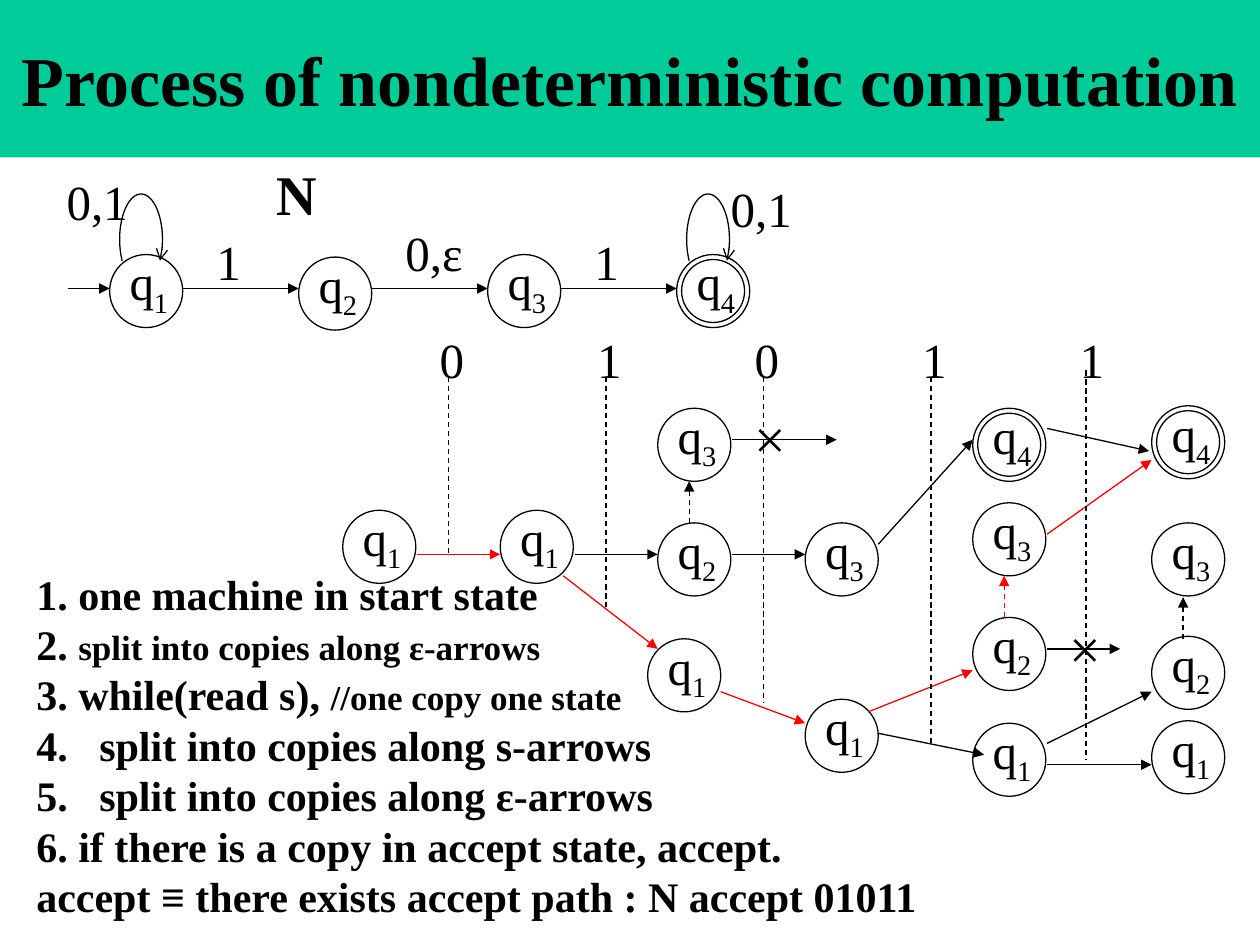
import math

from pptx import Presentation
from pptx import util as u
from pptx.dml.color import RGBColor
from pptx.enum import dml, shapes, text
from pptx.oxml.ns import qn
from lxml import etree

PX = 9144  # 100 px to the inch
THEME = {
    "font": "Times New Roman",
    "ink": RGBColor(0, 0, 0),
    "path": RGBColor(255, 0, 0),
    "band": RGBColor(0, 204, 153),
    "title": 40, "mark": 32, "label": 28, "step": 24, "detail": 20,
    "line": 0.75,
}
STATE = 58
RIM = 4

deck = Presentation()
deck.slide_width, deck.slide_height = 1000 * PX, 750 * PX
page = deck.slides.add_slide(deck.slide_layouts[6])


def write(left, top, width, height, lines, bold=False, pitch=None):
    """Add a text box; each line is a list of (wording, size, is_subscript)."""
    box = page.shapes.add_textbox(left * PX, top * PX, width * PX, height * PX)
    frame = box.text_frame
    frame.word_wrap = False
    frame.auto_size = text.MSO_AUTO_SIZE.SHAPE_TO_FIT_TEXT
    for index, line in enumerate(lines):
        para = frame.add_paragraph() if index else frame.paragraphs[0]
        if pitch:
            para.line_spacing = u.Pt(pitch)
        for wording, size, is_subscript in line:
            span = para.add_run()
            span.text = wording
            span.font.name = THEME["font"]
            span.font.size = u.Pt(THEME[size])
            span.font.bold = bold
            span.font.color.rgb = THEME["ink"]
            if is_subscript:
                span.font._element.set("baseline", "-25000")
    return box


def stroke(item, color="ink", dashed=False, head=None):
    """Style an outline, with an optional arrowhead at its end."""
    item.line.color.rgb = THEME[color]
    item.line.width = u.Pt(THEME["line"])
    if dashed:
        item.line.dash_style = dml.MSO_LINE.DASH
    if head:
        etree.SubElement(item.line._get_or_add_ln(), qn("a:tailEnd"), type=head)
    if item._element.spPr.find(qn("a:effectLst")) is None:
        etree.SubElement(item._element.spPr, qn("a:effectLst"))


# Title band
band = page.shapes.add_shape(shapes.MSO_SHAPE.RECTANGLE, 0, 0, 1000 * PX, 125 * PX)
band.shadow.inherit = False
band.fill.solid()
band.fill.fore_color.rgb = THEME["band"]
band.line.fill.background()
band.text_frame.word_wrap = True
band.text_frame.vertical_anchor = text.MSO_ANCHOR.MIDDLE
para = band.text_frame.paragraphs[0]
para.alignment = text.PP_ALIGN.CENTER
span = para.add_run()
span.text = "Process of nondeterministic computation"
span.font.name = THEME["font"]
span.font.size = u.Pt(THEME["title"])
span.font.bold = True
span.font.color.rgb = THEME["ink"]

# States of the machine, then of the computation tree: number, left, top
machine = [(1, 87, 202), (2, 237, 204), (3, 387, 202), (4, 537, 202)]
tree = [
    (1, 272, 405), (1, 397, 405),
    (3, 522, 324), (2, 522, 415), (1, 514, 507),
    (3, 639, 415), (1, 639, 555),
    (4, 772, 324), (3, 772, 399), (2, 772, 490), (1, 772, 574),
    (4, 914, 322), (3, 914, 415), (2, 914, 505), (1, 914, 572),
]
for number, left, top in machine + tree:
    for inset in (0, RIM) if number == 4 else (0,):
        side = STATE - 2 * inset
        ring = page.shapes.add_shape(
            shapes.MSO_SHAPE.OVAL, (left + inset) * PX, (top + inset) * PX,
            side * PX, side * PX)
        ring.shadow.inherit = False
        ring.fill.background()
        stroke(ring)
    write(left + 6, top - 7, 53, 57, [[("q", "label", False), (str(number), "label", True)]])

# Self-loops on the first and last machine states
for center in (112, 562):
    points = []
    for degrees in range(152, 390, 4):
        angle = math.radians(degrees)
        points.append(((center + 17 * math.cos(angle)) * PX,
                       (190 + 36 * math.sin(angle)) * PX))
    builder = page.shapes.build_freeform(*points[0], scale=1.0)
    builder.add_line_segments(points[1:], close=False)
    loop = builder.convert_to_shape()
    loop.shadow.inherit = False
    loop.fill.background()
    stroke(loop, head="arrow")

# Transitions: from x, y to x, y, colour, dashed
arrows = [(54, 229, 87, 229, "ink", False)]
arrows += [(x, 229, x + 92, 229, "ink", False) for x in (145, 295, 445)]
arrows += [
    (331, 440, 397, 440, "path", False), (456, 440, 522, 440, "ink", False),
    (447, 457, 522, 515, "path", False), (547, 415, 547, 382, "ink", True),
    (581, 349, 664, 349, "ink", False), (581, 440, 639, 440, "ink", False),
    (572, 549, 639, 574, "path", False), (689, 565, 772, 532, "path", False),
    (697, 582, 781, 599, "ink", False), (697, 432, 772, 349, "ink", False),
    (797, 490, 797, 457, "path", True), (831, 515, 889, 515, "ink", False),
    (831, 607, 914, 607, "ink", False), (831, 590, 914, 549, "ink", False),
    (831, 424, 914, 365, "path", False), (831, 340, 912, 358, "ink", False),
    (939, 507, 939, 474, "ink", True),
]
for x1, y1, x2, y2, color, dashed in arrows:
    arrow = page.shapes.add_connector(
        shapes.MSO_CONNECTOR.STRAIGHT, x1 * PX, y1 * PX, x2 * PX, y2 * PX)
    stroke(arrow, color, dashed, "triangle")

# Input symbols, each with a dashed line: symbol, text left, line x, top, bottom
for symbol, left, x, top, bottom in [
    ("0", 339, 356, 299, 440), ("1", 464, 481, 299, 482), ("0", 589, 606, 299, 557),
    ("1", 722, 739, 299, 590), ("1", 847, 862, 294, 603),
]:
    write(left, 257, 40, 57, [[(symbol, "label", False)]])
    reading = page.shapes.add_connector(
        shapes.MSO_CONNECTOR.STRAIGHT, x * PX, top * PX, x * PX, bottom * PX)
    stroke(reading, dashed=True)

# Transition labels and dead ends
for wording, left, top, width in [
    ("0,1", 43, 131, 69), ("1", 162, 179, 40), ("0,ε", 312, 172, 66),
    ("1", 462, 179, 40), ("0,1", 570, 137, 69),
]:
    write(left, top, width, 57, [[(wording, "label", False)]])
for left, top in [(589, 315), (839, 482)]:
    write(left, top, 65, 63, [[("×", "mark", False)]])

name = write(209, 122, 53, 64, [[("N", "mark", False)]], bold=True)
name.text_frame.paragraphs[0].alignment = text.PP_ALIGN.CENTER

# Algorithm
steps = [
    [("1. one machine in start state", "step", False)],
    [("2. ", "step", False), ("split into copies along ε-arrows", "detail", False)],
    [("3. while(read s), ", "step", False), ("//one copy one state", "detail", False)],
    [("4.   split into copies along s-arrows", "step", False)],
    [("5.   split into copies along ε-arrows", "step", False)],
    [("6. if there is a copy in accept state, accept.", "step", False)],
    [("accept ≡ there exists accept path : N accept 01011", "step", False)],
]
write(19, 446, 733, 293, steps, bold=True, pitch=28.8)

deck.save("out.pptx")
